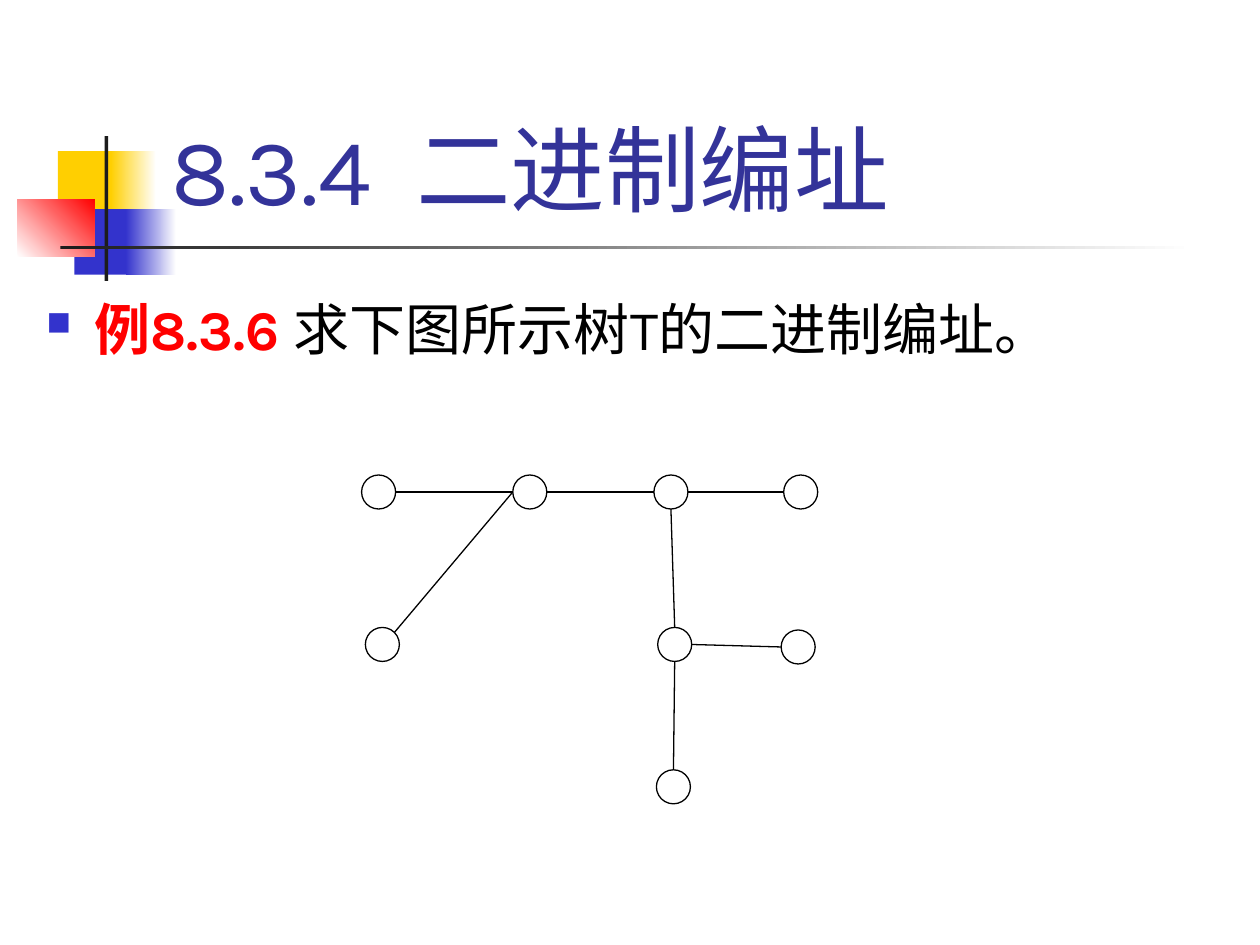
"""Build a slide with a tree whose binary addresses are to be found."""
from lxml import etree
from pptx import Presentation
from pptx.dml.color import RGBColor
from pptx.enum.shapes import MSO_CONNECTOR as CONNECTOR, MSO_SHAPE as SHAPE
from pptx.enum.text import MSO_ANCHOR as ANCHOR
from pptx.oxml import parse_xml
from pptx.oxml.ns import nsdecls, qn
from pptx.util import Inches, Pt


def color(value):
    return RGBColor.from_string(value)


def add_run(paragraph, text, size, value, bold=False):
    run = paragraph.add_run()
    run.text = text
    run.font.name = "Karla"
    run.font.size = Pt(size)
    run.font.bold = bold
    run.font.color.rgb = color(value)


presentation = Presentation()
presentation.slide_width = Inches(10)
presentation.slide_height = Inches(7.5)
slide = presentation.slides.add_slide(presentation.slide_layouts[6])

ornaments = [
    (0.46, 1.2, 0.48, 0.52, ["FFCF01"], 0),
    (0.88, 1.2, 0.36, 0.52, ["FFCF01", "FFFFFF"], 0),
    (0.59, 1.66, 0.46, 0.52, ["3333CC"], 0),
    (1, 1.66, 0.4, 0.52, ["3333CC", "FFFFFF"], 0),
    (0.14, 1.58, 0.61, 0.46, ["FFFFFF", "FF0000"], 45),
    (0.83, 1.08, 0.03, 1.15, ["1C1C1C"], 0),
    (0.48, 1.95, 9, 0.03, ["1C1C1C", "FFFFFF"], 0),
]
for left, top, width, height, colors, angle in ornaments:
    shape = slide.shapes.add_shape(
        SHAPE.RECTANGLE, Inches(left), Inches(top), Inches(width), Inches(height))
    shape.shadow.inherit = False
    shape.line.fill.background()
    if len(colors) == 1:
        shape.fill.solid()
        shape.fill.fore_color.rgb = color(colors[0])
    else:
        shape.fill.gradient()
        shape.fill.gradient_angle = angle
        for stop, value in zip(shape.fill.gradient_stops, colors):
            stop.color.rgb = color(value)

title = slide.shapes.add_textbox(Inches(1.26), Inches(0.23), Inches(8.52), Inches(1.6))
title.text_frame.word_wrap = True
title.text_frame.vertical_anchor = ANCHOR.BOTTOM
add_run(title.text_frame.paragraphs[0], "8.3.4  二进制编址", 54, "333399")

body = slide.shapes.add_textbox(Inches(0.27), Inches(2.02), Inches(9.73), Inches(5.48))
body.text_frame.word_wrap = True
paragraph = body.text_frame.paragraphs[0]
properties = paragraph._p.get_or_add_pPr()
properties.set("marL", str(Inches(0.38)))
properties.set("indent", str(Inches(-0.38)))
for bullet in (
    '<a:buClr {}><a:srgbClr val="3333CC"/></a:buClr>',
    '<a:buSzPct {} val="60000"/>',
    '<a:buChar {} char="■"/>',
):
    properties.append(parse_xml(bullet.format(nsdecls("a"))))
paragraph.line_spacing = 1.5
add_run(paragraph, "例8.3.6 ", 32, "FF0000", True)
add_run(paragraph, "求下图所示树T的二进制编址。", 32, "000000")

diameter = 0.27
nodes = {
    "upper left": (2.87, 3.77),
    "left hub": (4.07, 3.77),
    "right hub": (5.19, 3.77),
    "upper right": (6.22, 3.77),
    "lower right": (6.2, 5),
    "bottom": (5.21, 6.11),
    "lower hub": (5.22, 4.98),
    "lower left": (2.9, 4.98),
}
for left, top in nodes.values():
    shape = slide.shapes.add_shape(
        SHAPE.OVAL, Inches(left), Inches(top), Inches(diameter), Inches(diameter))
    shape.shadow.inherit = False
    shape.fill.solid()
    shape.fill.fore_color.rgb = color("FFFFFF")
    shape.line.color.rgb = color("000000")
    shape.line.width = Pt(0.75)

sides = {
    "left": (0, 0.5),
    "right": (1, 0.5),
    "top": (0.5, 0),
    "bottom": (0.5, 1),
    "top right": (0.85, 0.15),
}
edges = [
    ("upper left", "right", "left hub", "left"),
    ("left hub", "right", "right hub", "left"),
    ("right hub", "right", "upper right", "left"),
    ("left hub", "left", "lower left", "top right"),
    ("right hub", "bottom", "lower hub", "top"),
    ("lower hub", "bottom", "bottom", "top"),
    ("lower hub", "right", "lower right", "left"),
]
for start, start_side, end, end_side in edges:
    points = [
        Inches(corner + diameter * share)
        for node, side in ((start, start_side), (end, end_side))
        for corner, share in zip(nodes[node], sides[side])
    ]
    connector = slide.shapes.add_connector(CONNECTOR.STRAIGHT, *points)
    connector.line.color.rgb = color("000000")
    connector.line.width = Pt(0.75)
    etree.SubElement(connector._element.spPr, qn("a:effectLst"))

presentation.save("out.pptx")
